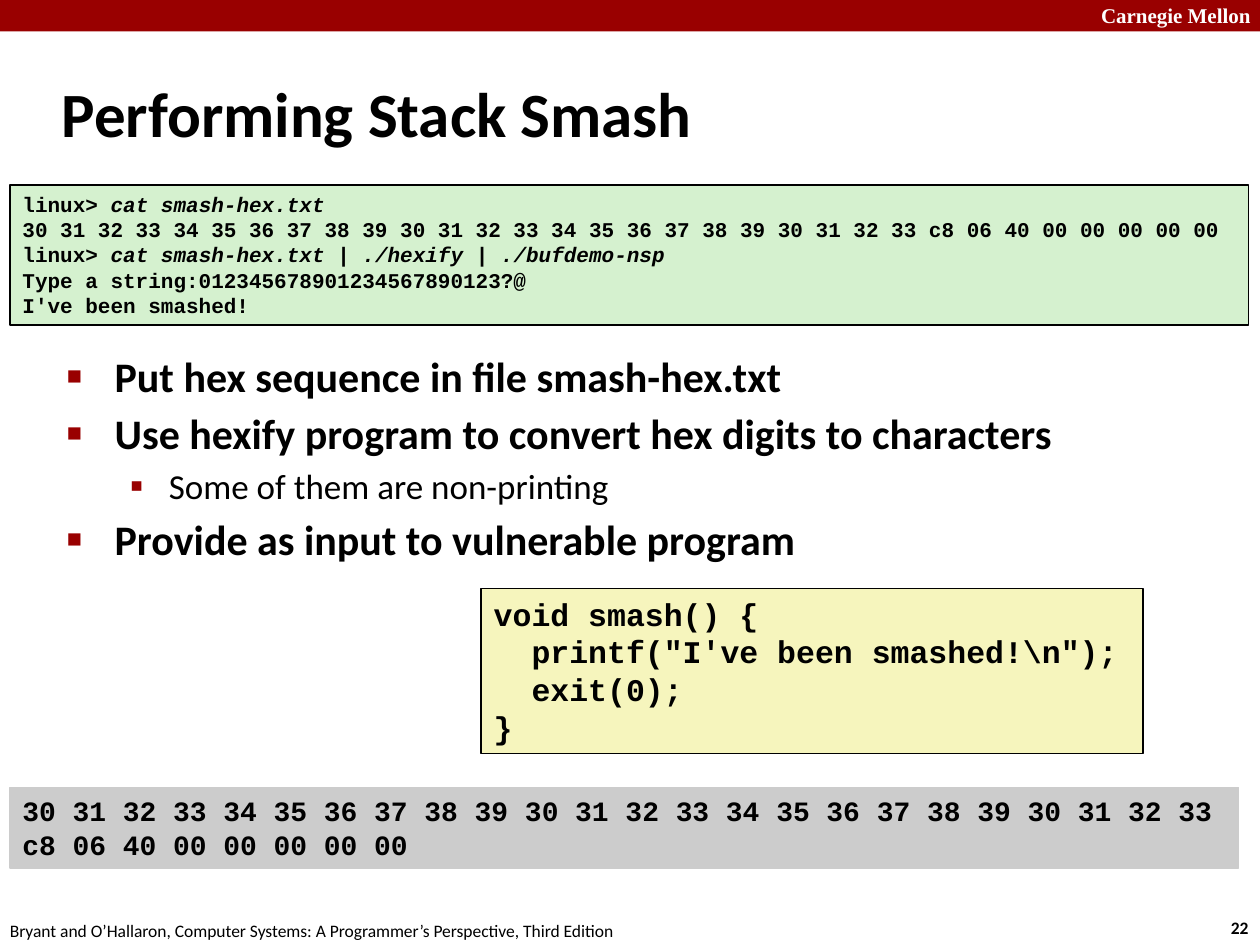
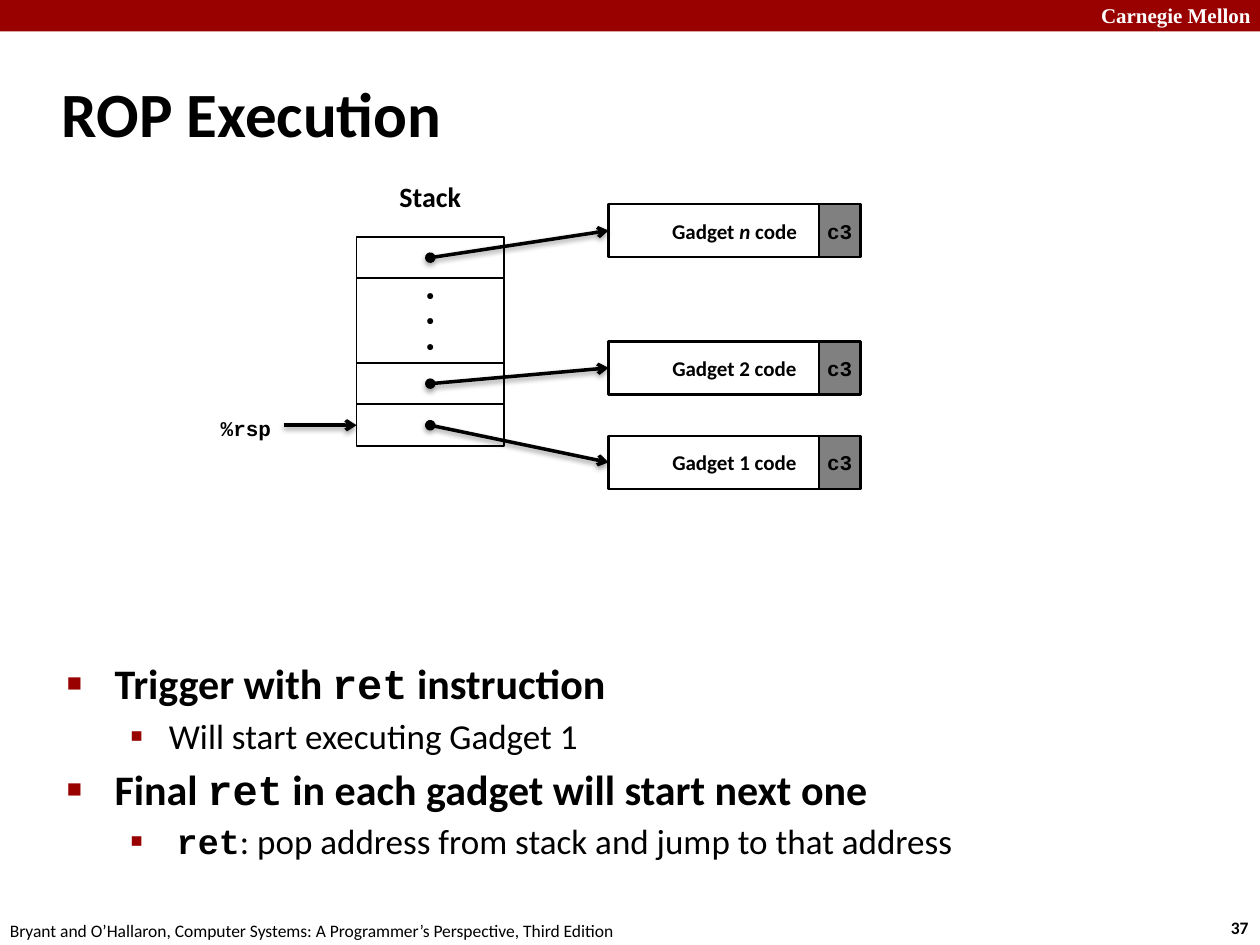
from dataclasses import dataclass
from typing import Optional

from lxml.etree import SubElement
from pptx import Presentation
from pptx.dml.color import RGBColor
from pptx.enum.shapes import MSO_CONNECTOR, MSO_SHAPE
from pptx.enum.text import MSO_ANCHOR, MSO_AUTO_SIZE, PP_ALIGN
from pptx.oxml.ns import qn
from pptx.util import Inches, Pt

BLACK = RGBColor(0x00, 0x00, 0x00)
WHITE = RGBColor(0xFF, 0xFF, 0xFF)
CRIMSON = RGBColor(0x99, 0x00, 0x00)
TERMINAL_GREEN = RGBColor(0xD5, 0xF1, 0xCF)
SOURCE_YELLOW = RGBColor(0xF6, 0xF5, 0xBD)
BYTES_GRAY = RGBColor(0xCC, 0xCC, 0xCC)
RET_GRAY = RGBColor(0x80, 0x80, 0x80)

SANS, MONO, SERIF = "Calibri", "Courier New", "Times New Roman"
FOOTER = ("Bryant and O’Hallaron, Computer Systems: "
          "A Programmer’s Perspective, Third Edition")
SMASH_BYTES = ("30 31 32 33 34 35 36 37 38 39 30 31 32 33 34 35 36 37 38 39 "
               "30 31 32 33 c8 06 40 00 00 00 00 00")


@dataclass(frozen=True)
class Run:
    text: str
    font: str = SANS
    bold: bool = True
    italic: bool = False


@dataclass(frozen=True)
class Area:
    left: float
    top: float
    width: float
    height: float

    def lengths(self) -> tuple:
        return tuple(Inches(v) for v in (self.left, self.top, self.width, self.height))


@dataclass(frozen=True)
class BulletLevel:
    size: int
    margin: float
    hanging: float
    before: float
    mark: str
    mark_percent: int


@dataclass(frozen=True)
class Gadget:
    top: float
    label: list
    stack_row: int


LEVELS = (BulletLevel(24, 0.38, 0.38, 4.1, "■", 60),
          BulletLevel(20, 0.81, 0.31, 3.4, "▪", 110))


def mono(text: str, italic: bool = False) -> Run:
    return Run(text, MONO, italic=italic)


def add_runs(paragraph, runs: list, size: float, color: RGBColor = BLACK) -> None:
    for part in runs:
        run = paragraph.add_run()
        run.text = part.text
        font = run.font
        font.name, font.size = part.font, Pt(size)
        font.bold, font.italic = part.bold, part.italic
        font.color.rgb = color


def write_lines(frame, lines: list, size: float, color: RGBColor = BLACK,
                align=PP_ALIGN.LEFT, anchor=MSO_ANCHOR.TOP) -> None:
    frame.word_wrap = True
    frame.vertical_anchor = anchor
    for i, runs in enumerate(lines):
        paragraph = frame.add_paragraph() if i else frame.paragraphs[0]
        paragraph.alignment = align
        add_runs(paragraph, runs, size, color)


def add_label(slide, area: Area, run: Run, size: float, color: RGBColor = BLACK,
              align=PP_ALIGN.LEFT, anchor=MSO_ANCHOR.TOP) -> None:
    label = slide.shapes.add_textbox(*area.lengths())
    write_lines(label.text_frame, [[run]], size, color, align, anchor)


def add_box(slide, area: Area, fill: Optional[RGBColor] = None,
            line: Optional[RGBColor] = BLACK, line_width: float = 1):
    box = slide.shapes.add_shape(MSO_SHAPE.RECTANGLE, *area.lengths())
    box.shadow.inherit = False
    if fill is None:
        box.fill.background()
    else:
        box.fill.solid()
        box.fill.fore_color.rgb = fill
    if line is None:
        box.line.fill.background()
    else:
        box.line.color.rgb = line
        box.line.width = Pt(line_width)
    return box


def add_code(slide, area: Area, fill: RGBColor, lines: list, size: float,
             line: RGBColor = BLACK) -> None:
    write_lines(add_box(slide, area, fill, line).text_frame, lines, size)


def add_arrow(slide, start: tuple, target, from_dot: bool = False) -> None:
    """Draw a shadowed arrow to the middle of the target's left side."""
    x, y = (Inches(v) for v in start)
    arrow = slide.shapes.add_connector(MSO_CONNECTOR.STRAIGHT, x, y, x, y)
    arrow.end_connect(target, 1)
    arrow.line.color.rgb = BLACK
    arrow.line.width = Pt(2)
    outline = arrow.line._get_or_add_ln()
    if from_dot:
        SubElement(outline, qn("a:headEnd"), type="oval")
    SubElement(outline, qn("a:tailEnd"), type="arrow")
    effects = SubElement(arrow._element.spPr, qn("a:effectLst"))
    shadow = SubElement(effects, qn("a:outerShdw"), blurRad=str(Pt(3.1)),
                        dist=str(Pt(1.6)), dir="5400000", rotWithShape="0")
    shade = SubElement(shadow, qn("a:srgbClr"), val=str(BLACK))
    SubElement(shade, qn("a:alpha"), val="38000")


def set_bullet(paragraph, level: BulletLevel) -> None:
    props = paragraph._p.get_or_add_pPr()
    props.set("marL", str(Inches(level.margin)))
    props.set("indent", str(-Inches(level.hanging)))
    SubElement(SubElement(props, qn("a:buClr")), qn("a:srgbClr"), val=str(CRIMSON))
    SubElement(props, qn("a:buSzPct"), val=str(level.mark_percent * 1000))
    SubElement(props, qn("a:buFont"), typeface="Arial")
    SubElement(props, qn("a:buChar"), char=level.mark)


def fill_list(body, area: Area, items: list) -> None:
    body.left, body.top, body.width, body.height = area.lengths()
    frame = body.text_frame
    frame.auto_size = MSO_AUTO_SIZE.NONE
    for i, (depth, runs) in enumerate(items):
        paragraph = frame.add_paragraph() if i else frame.paragraphs[0]
        paragraph.level = depth
        set_bullet(paragraph, LEVELS[depth])
        paragraph.space_before = Pt(LEVELS[depth].before if i else 0)
        add_runs(paragraph, runs, LEVELS[depth].size)


def start_slide(deck, title: str, number: int, list_area: Area, items: list):
    slide = deck.slides.add_slide(deck.slide_layouts[1])
    # Band and footers
    add_box(slide, Area(0, 0, 10, 0.25), CRIMSON, None)
    add_label(slide, Area(8.64, -0.03, 1.43, 0.3), Run("Carnegie Mellon", SERIF), 12, WHITE)
    add_label(slide, Area(9.67, 7.23, 0.37, 0.27), Run(str(number)), 10)
    add_label(slide, Area(-0.02, 7.25, 5.08, 0.27), Run(FOOTER, bold=False), 10)
    # Title and list
    heading = slide.shapes.title
    heading.left, heading.top, heading.width, heading.height = Area(
        0.39, 0.48, 8.3, 0.83).lengths()
    heading.text_frame.auto_size = MSO_AUTO_SIZE.NONE
    write_lines(heading.text_frame, [[Run(title)]], 36, anchor=MSO_ANCHOR.MIDDLE)
    fill_list(slide.placeholders[1], list_area, items)
    return slide


def build_stack_smash(deck) -> None:
    slide = start_slide(deck, "Performing Stack Smash", 22, Area(0.43, 2.73, 8.64, 4.2), [
        (0, [Run("Put hex sequence in file smash-hex.txt")]),
        (0, [Run("Use hexify program to convert hex digits to characters")]),
        (1, [Run("Some of them are non-printing", bold=False)]),
        (0, [Run("Provide as input to vulnerable program")]),
    ])
    # Attack string
    add_code(slide, Area(0.08, 6.25, 9.75, 0.64), BYTES_GRAY,
             [[mono(SMASH_BYTES)]], 16, BYTES_GRAY)
    # Terminal session
    prompt = mono("linux> ")
    add_code(slide, Area(0.08, 1.47, 9.83, 1.11), TERMINAL_GREEN, [
        [prompt, mono("cat smash-hex.txt", True)],
        [mono(SMASH_BYTES)],
        [prompt, mono("cat smash-hex.txt | ./hexify | ./bufdemo-nsp", True)],
        [mono("Type a string:012345678901234567890123?@")],
        [mono("I've been smashed!")],
    ], 12)
    # Function that gets called
    smash_source = ("void smash() {", "  printf(\"I've been smashed!\\n\");",
                    "  exit(0);", "}")
    add_code(slide, Area(3.82, 4.67, 5.25, 1.31), SOURCE_YELLOW,
             [[mono(code)] for code in smash_source], 18)


def build_rop_execution(deck) -> None:
    ret = mono("ret")
    slide = start_slide(deck, "ROP Execution", 37, Area(0.43, 5.17, 8.64, 1.76), [
        (0, [Run("Trigger with "), ret, Run(" instruction")]),
        (1, [Run("Will start executing Gadget 1", bold=False)]),
        (0, [Run("Final "), ret, Run(" in each gadget will start next one")]),
        (1, [Run(" ", bold=False), ret,
             Run(": pop address from stack and jump to that address", bold=False)]),
    ])
    # Stack, from its top row down
    stack_left, stack_width = 2.83, 1.17
    row_top = 1.88
    rows, row_middles = [], []
    for height in (0.33, 0.67, 0.33, 0.33):
        rows.append(add_box(slide, Area(stack_left, row_top, stack_width, height)))
        row_middles.append(row_top + height / 2)
        row_top += height
    omitted = rows[1].text_frame
    omitted.margin_top = omitted.margin_bottom = 0
    write_lines(omitted, [[Run("•", "Arial")]] * 3, 12,
                align=PP_ALIGN.CENTER, anchor=MSO_ANCHOR.MIDDLE)
    add_label(slide, Area(stack_left, 1.38, stack_width, 0.37), Run("Stack"), 16,
              align=PP_ALIGN.CENTER)

    # Gadgets, each ending in a ret byte and reached from its stack row
    gadgets = (Gadget(3.46, [Run("Gadget 1 code")], 3),
               Gadget(2.71, [Run("Gadget 2 code")], 2),
               Gadget(1.62, [Run("Gadget "), Run("n", italic=True), Run(" code")], 0))
    for gadget in gadgets:
        ret_byte = add_box(slide, Area(6.5, gadget.top, 0.33, 0.42), RET_GRAY)
        ret_byte.text_frame.margin_left = ret_byte.text_frame.margin_right = 0
        gadget_code = add_box(slide, Area(4.83, gadget.top, 2, 0.42), line_width=1.5)
        for box, runs in ((ret_byte, [mono("c3")]), (gadget_code, gadget.label)):
            write_lines(box.text_frame, [runs], 12, align=PP_ALIGN.CENTER,
                        anchor=MSO_ANCHOR.MIDDLE)
        add_arrow(slide, (stack_left + stack_width / 2, row_middles[gadget.stack_row]),
                  gadget_code, from_dot=True)

    # Stack pointer
    add_arrow(slide, (2.25, row_middles[-1]), rows[-1])
    add_label(slide, Area(1.08, 3.23, 1.17, 0.33), mono("%rsp"), 12,
              align=PP_ALIGN.RIGHT, anchor=MSO_ANCHOR.MIDDLE)


def main() -> None:
    deck = Presentation()
    deck.slide_width, deck.slide_height = Inches(10), Inches(7.5)
    build_stack_smash(deck)
    build_rop_execution(deck)
    deck.save("out.pptx")


if __name__ == "__main__":
    main()
